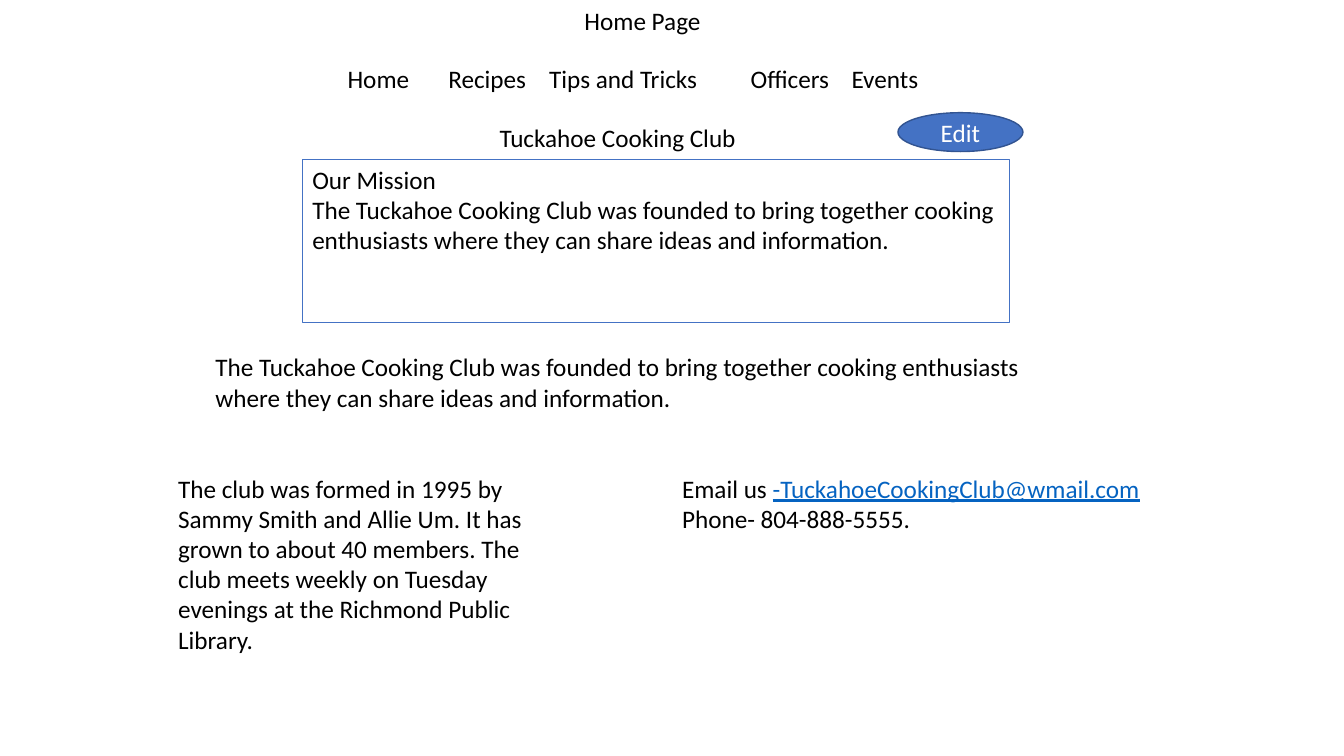
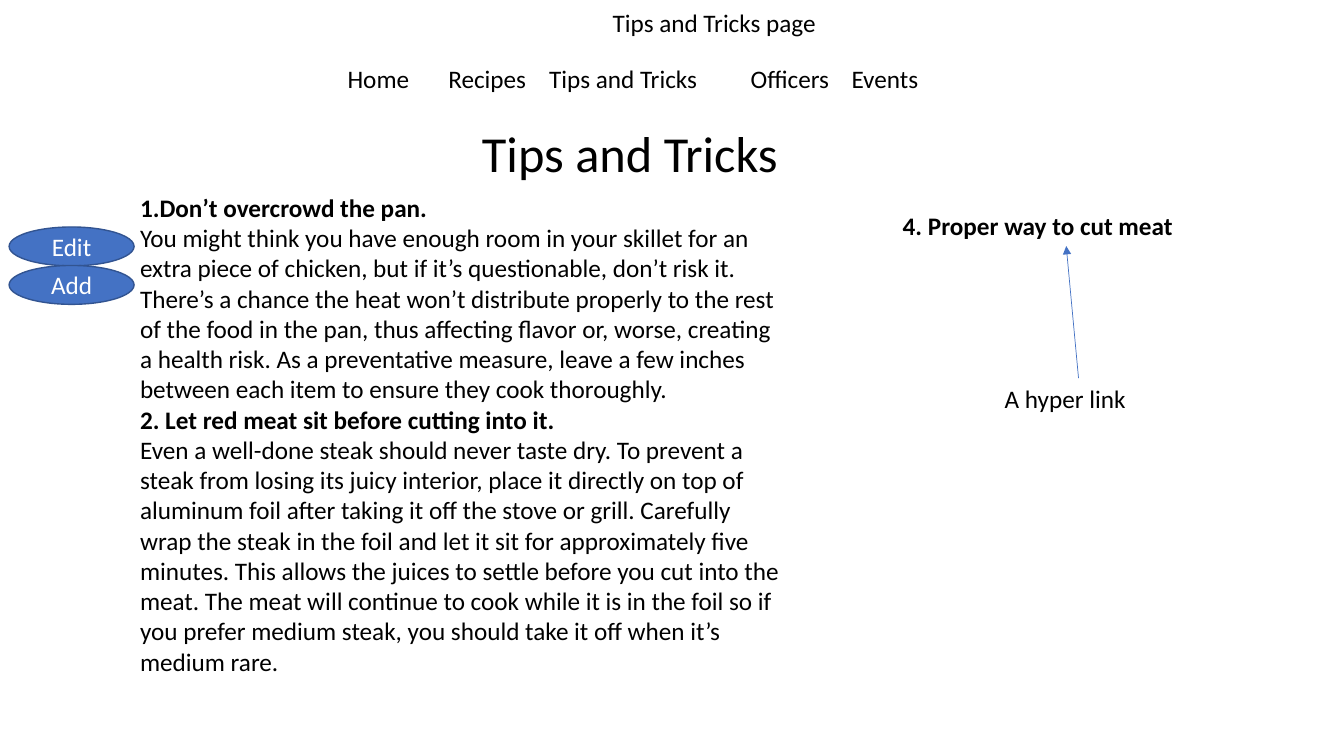
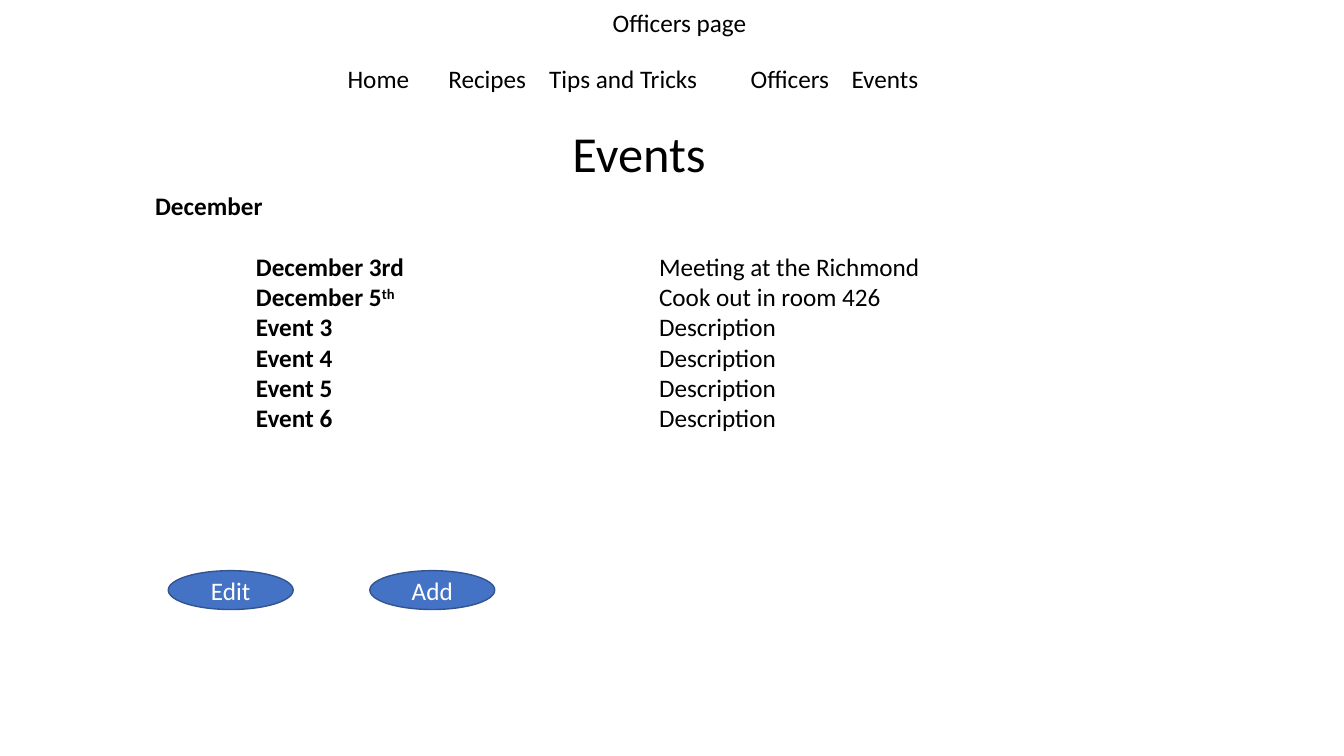
from lxml.etree import SubElement
from pptx import Presentation
from pptx.dml.color import RGBColor
from pptx.enum.shapes import MSO_CONNECTOR as CONN, MSO_SHAPE as SHAPE
from pptx.enum.text import MSO_ANCHOR as ANCHOR, PP_ALIGN as ALIGN
from pptx.oxml.ns import qn
from pptx.util import Cm, Pt

# Shared look
BLACK, WHITE, BLUE, OUTLINE, LINK = "000000", "FFFFFF", "4472C4", "325491", "0563C1"
BODY = {"name": "Calibri", "size": Pt(18), "bold": False, "color": BLACK}
BOLD = {"bold": True}
HEADING = {"size": Pt(36)}
TAB = 2.54
LINE_H = 1.02
BUTTON_W, BUTTON_H = 3.15, 0.98
NAV = ["Home", "Recipes", "Tips and Tricks", "Officers", "Events"]
MISSION = ("The Tuckahoe Cooking Club was founded to bring together cooking "
           "enthusiasts where they can share ideas and information.")


def rgb(code):
    return RGBColor.from_string(code)


def add_run(p, text, **fmt):
    r = p.add_run()
    r.text = text
    for key, value in {**BODY, **fmt}.items():
        if key == "color":
            r.font.color.rgb = rgb(value)
        elif key == "baseline":
            r.font._element.set("baseline", value)
        else:
            setattr(r.font, key, value)


def add_tabs(p, stops):
    tabs = SubElement(p._p.get_or_add_pPr(), qn("a:tabLst"))
    for stop in stops:
        SubElement(tabs, qn("a:tab"), pos=str(Cm(stop * TAB)), algn="l")


def fill_text(tf, paras, align=ALIGN.LEFT, tabs=(), fmt=None):
    """Each paragraph is a string or a list of (text, format) runs."""
    for i, runs in enumerate(paras):
        p = tf.add_paragraph() if i else tf.paragraphs[0]
        if tabs:
            add_tabs(p, tabs)
        p.alignment = align
        for text, extra in [(runs, {})] if isinstance(runs, str) else runs:
            add_run(p, text, **{**(fmt or {}), **extra})


def add_text(s, box, *paras, wrap=True, **style):
    sp = s.shapes.add_textbox(*map(Cm, box))
    sp.text_frame.word_wrap = wrap
    fill_text(sp.text_frame, paras, **style)
    return sp


def add_button(s, x, y, label):
    sp = s.shapes.add_shape(SHAPE.OVAL, *map(Cm, (x, y, BUTTON_W, BUTTON_H)))
    sp.shadow.inherit = False
    sp.fill.solid()
    sp.fill.fore_color.rgb = rgb(BLUE)
    sp.line.color.rgb = rgb(OUTLINE)
    sp.line.width = Pt(1)
    sp.text_frame.vertical_anchor = ANCHOR.MIDDLE
    fill_text(sp.text_frame, [label], ALIGN.CENTER, fmt={"color": WHITE})


def add_arrow(s, start, end):
    line = s.shapes.add_connector(CONN.STRAIGHT, *map(Cm, start + end))
    line.line.color.rgb = rgb(BLUE)
    line.line.width = Pt(0.5)
    SubElement(line.line._get_or_add_ln(), qn("a:tailEnd"), type="triangle")
    SubElement(line._element.spPr, qn("a:effectLst"))


def add_page(prs, name, x, y, w):
    """Blank slide with the page name and the navigation row."""
    s = prs.slides.add_slide(prs.slide_layouts[6])
    add_text(s, (x, y, w, LINE_H), name, wrap=False)
    add_text(s, (8.51, 1.47, 21.11, LINE_H), "\t".join(NAV), tabs=(1, 2, 4, 5))
    return s


def add_heading(s, x, text):
    add_text(s, (x, 2.95, 15.19, 1.8), text, align=ALIGN.CENTER, fmt=HEADING)


def home_page(prs):
    s = add_page(prs, "Home Page", 14.48, 0, 3.48)
    add_text(s, (12.34, 2.97, 13.41, LINE_H), "Tuckahoe Cooking Club")
    # Mission
    frame = add_text(s, (7.62, 4.01, 17.83, 4.11), "Our Mission", MISSION)
    frame.line.color.rgb = rgb(BLUE)
    frame.line.width = Pt(0.75)
    add_text(s, (5.18, 8.74, 22.1, 1.8), MISSION)
    # History and contact
    add_text(s, (4.24, 11.79, 9.32, 4.88),
             "The club was formed in 1995 by Sammy Smith and Allie Um. It has "
             "grown to about 40 members. The club meets weekly on Tuesday "
             "evenings at the Richmond Public Library.")
    add_text(s, (16.94, 11.79, 16.03, 3.33),
             [("Email us ", {}), ("-TuckahoeCookingClub@wmail.com",
                                  {"color": LINK, "underline": True})],
             "Phone- 804-888-5555.")
    add_button(s, 22.63, 2.84, "Edit")


def tips_page(prs):
    s = add_page(prs, "Tips and Tricks page", 15.19, 0.05, 5.69)
    add_heading(s, 8.28, "Tips and Tricks")
    # Tips
    add_text(s, (3.28, 4.72, 16.69, 13.34),
             [("1.Don’t overcrowd the pan.", BOLD)],
             "You might think you have enough room in your skillet for an extra "
             "piece of chicken, but if it’s questionable, don’t risk it. There’s "
             "a chance the heat won’t distribute properly to the rest of the "
             "food in the pan, thus affecting flavor or, worse, creating a "
             "health risk. As a preventative measure, leave a few inches between "
             "each item to ensure they cook thoroughly.",
             [("2. Let red meat sit before cutting into it.", BOLD)],
             "Even a well-done steak should never taste dry. To prevent a steak "
             "from losing its juicy interior, place it directly on top of "
             "aluminum foil after taking it off the stove or grill. Carefully "
             "wrap the steak in the foil and let it sit for approximately five "
             "minutes. This allows the juices to settle before you cut into the "
             "meat. The meat will continue to cook while it is in the foil so if "
             "you prefer medium steak, you should take it off when it’s medium "
             "rare.")
    # Linked tip
    add_text(s, (22.5, 5.18, 8.74, LINE_H), "4. Proper way to cut meat", fmt=BOLD)
    add_arrow(s, (27.18, 9.53), (26.87, 6.2))
    add_text(s, (25.07, 9.53, 3.61, LINE_H), "A hyper link", wrap=False)
    # Buttons
    for i, label in enumerate(["Edit", "Add"]):
        add_button(s, 0.23, 5.72 + i * 0.97, label)


def events_page(prs):
    s = add_page(prs, "Officers page", 15.19, 0.05, 3.94)
    add_heading(s, 8.51, "Events")
    # Event list
    events = [("December 3rd", "", "Meeting at the Richmond"),
              ("December 5", "th", "Cook out in room 426")]
    events += [(f"Event {n}", "", "Description") for n in range(3, 7)]
    rows = [[("\t" + date, BOLD)]
            + ([(suffix, {**BOLD, "baseline": "30000"})] if suffix else [])
            + [("\t" + what, {})] for date, suffix, what in events]
    sp = add_text(s, (3.66, 4.67, 22.02, 7.19), [("December", BOLD)], *rows,
                  tabs=(1, 5))
    sp.text_frame.paragraphs[1].space_before = Pt(22)
    # Buttons
    for i, label in enumerate(["Edit", "Add"]):
        add_button(s, 4.24 + i * 5.08, 14.38, label)


def main():
    prs = Presentation()
    prs.slide_width, prs.slide_height = Cm(33.87), Cm(19.05)
    for build in (home_page, tips_page, events_page):
        build(prs)
    prs.save("out.pptx")


if __name__ == "__main__":
    main()
